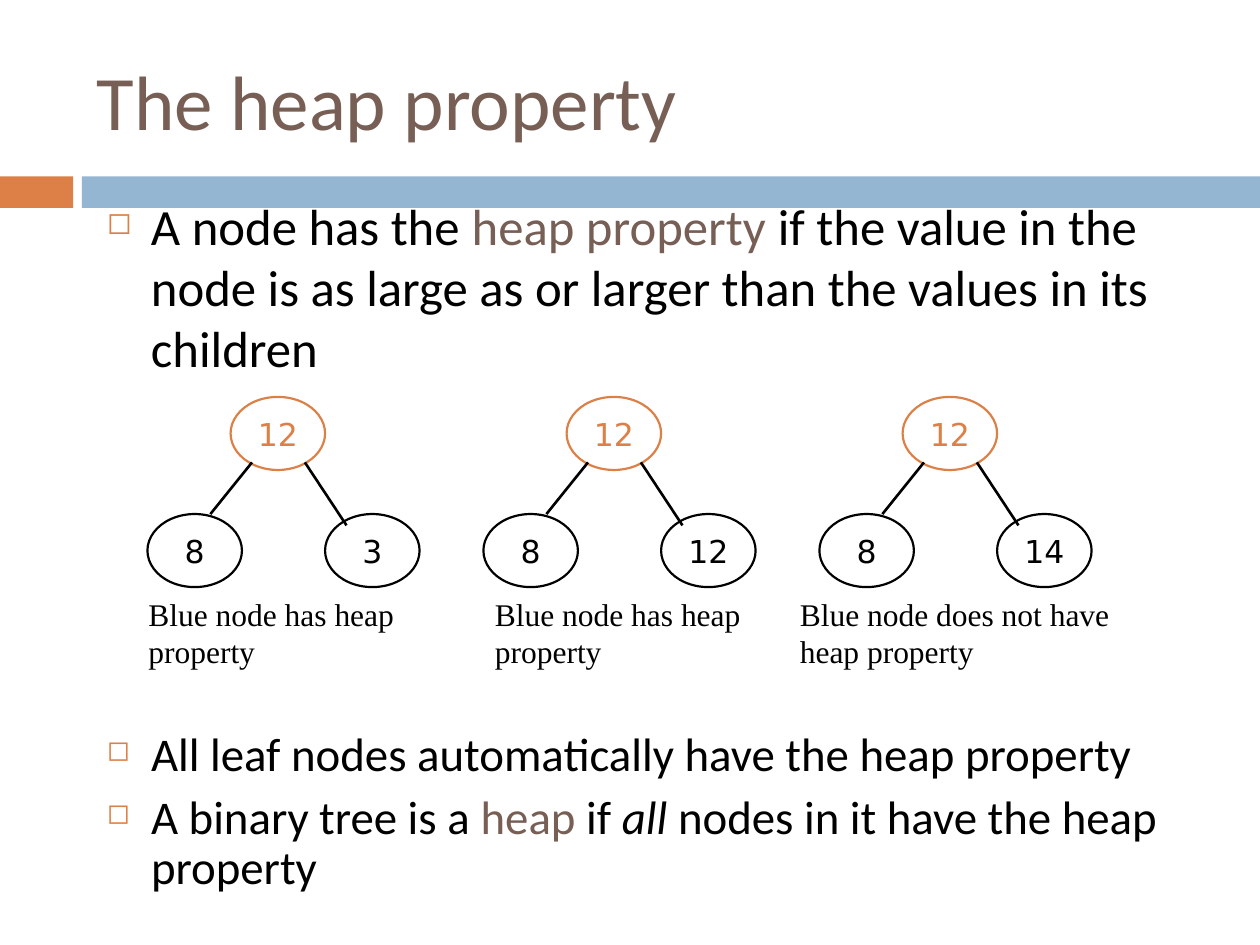
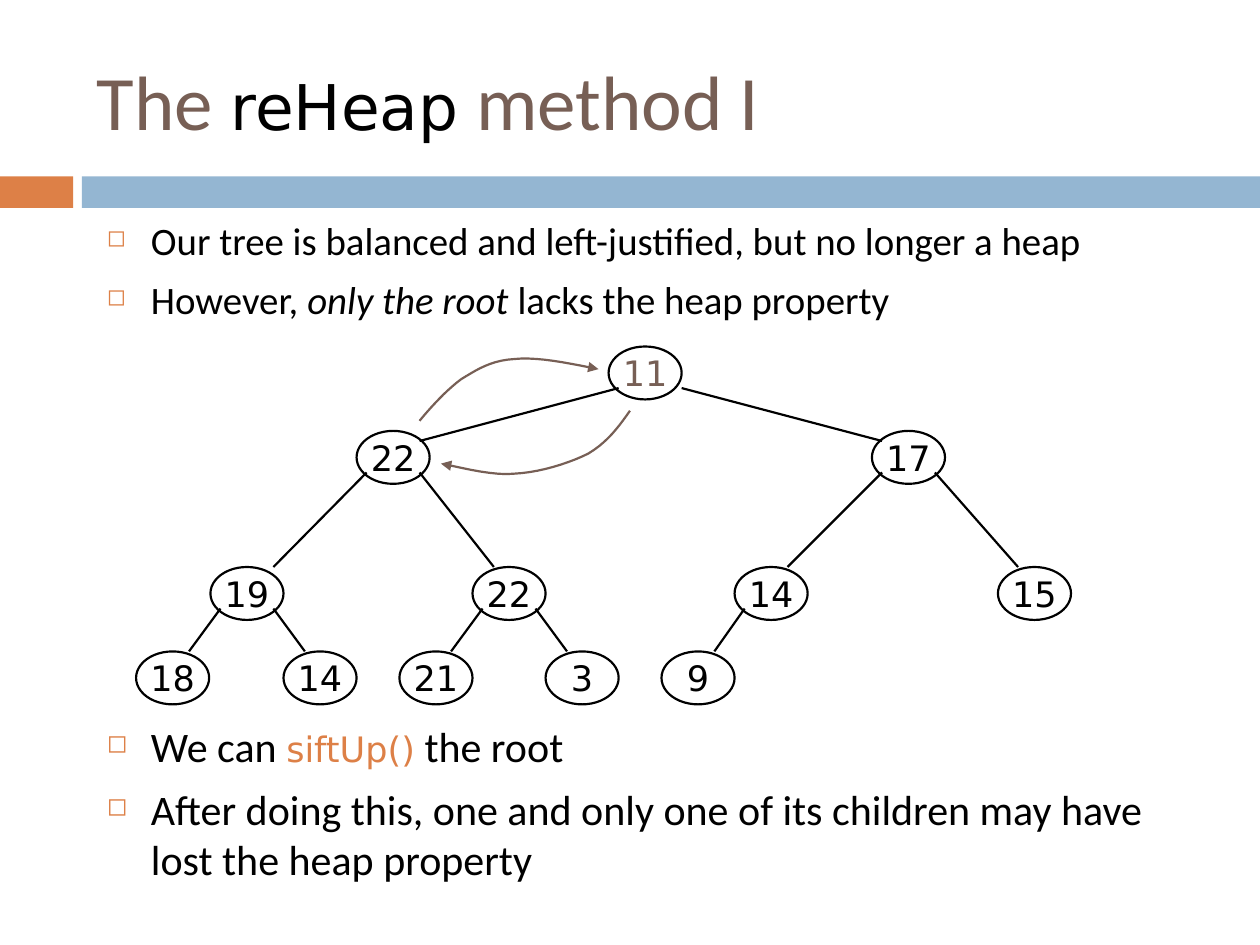
from lxml.etree import SubElement
from pptx import Presentation
from pptx.dml.color import RGBColor
from pptx.enum.shapes import MSO_CONNECTOR, MSO_SHAPE
from pptx.enum.text import MSO_ANCHOR, PP_ALIGN
from pptx.oxml.ns import qn
from pptx.util import Inches, Pt

BLACK, BROWN, RUST, BLUE = "000000", "775F55", "DD8047", "94B6D2"
SANS, MONO, SERIF = "Calibri", "DejaVu Sans", "Times New Roman"


def hue(code):
    return RGBColor.from_string(code)


def write(frame, paras, size, font=SANS, color=BLACK, bullet=False, lead=1.0):
    """Fill a frame; a run is text plus any changes to the given style."""
    for i, runs in enumerate(paras):
        para = frame.paragraphs[0] if i == 0 else frame.add_paragraph()
        if bullet:
            props = para._p.get_or_add_pPr()
            props.set("marL", str(Inches(0.35)))
            props.set("indent", str(Inches(-0.35)))
            tint = SubElement(props, qn("a:buClr"))
            SubElement(tint, qn("a:srgbClr"), val=RUST)
            SubElement(props, qn("a:buSzPct"), val="60000")
            SubElement(props, qn("a:buChar"), char="◻")
        para.line_spacing = lead
        if i:
            para.space_before = Pt(7)
        for text, change in runs:
            run = para.add_run()
            run.text = text
            run.font.size = Pt(change.get("size", size))
            run.font.name = change.get("font", font)
            run.font.color.rgb = hue(change.get("color", color))
            run.font.italic = change.get("italic", False)


deck = Presentation()
deck.slide_width, deck.slide_height = Inches(10), Inches(7.5)

# Titles and bands
titles = [
    [("The heap property", {})],
    [("The ", {}), ("reHeap", {"size": 36, "font": MONO, "color": BLACK}),
     (" method I", {})],
]
slides = []
for title in titles:
    slide = deck.slides.add_slide(deck.slide_layouts[6])
    slides.append(slide)
    for left, width, color in [(0, 0.58, RUST), (0.65, 9.35, BLUE)]:
        band = slide.shapes.add_shape(
            MSO_SHAPE.RECTANGLE, Inches(left), Inches(1.4), Inches(width), Inches(0.25))
        band.shadow.inherit = False
        band.fill.solid()
        band.fill.fore_color.rgb = hue(color)
        band.line.fill.background()
    frame = slide.shapes.add_textbox(
        Inches(0.67), Inches(0.25), Inches(8.92), Inches(1.08)).text_frame
    frame.word_wrap = True
    frame.vertical_anchor = MSO_ANCHOR.MIDDLE
    write(frame, [title], 44, color=BROWN)
first, second = slides

# Bullet text: slide, top, width, height, size, line spacing, paragraphs
bodies = [
    (first, 1.5, 8.5, 1.58, 29, 1.0, [
        [("A node has the ", {}), ("heap property", {"color": BROWN}),
         (" if the value in the node is as large as or larger than "
          "the values in its children", {})]]),
    (first, 5.75, 8.75, 1.5, 26.8, 0.9, [
        [("All leaf nodes automatically have the heap property", {})],
        [("A binary tree is a ", {}), ("heap", {"color": BROWN}), (" if ", {}),
         ("all", {"italic": True}), (" nodes in it have the heap property", {})]]),
    (second, 1.67, 8.5, 1.08, 22.2, 1.0, [
        [("Our tree is balanced and left-justified, but no longer a heap", {})],
        [("However, ", {}), ("only the root", {"italic": True}),
         (" lacks the heap property", {})]]),
    (second, 5.67, 8.5, 1.58, 24, 1.0, [
        [("We can ", {}), ("siftUp()", {"size": 20, "font": MONO, "color": RUST}),
         (" the root", {})],
        [("After doing this, one and only one of its children may have "
          "lost the heap property", {})]]),
]
for slide, top, width, height, size, lead, paras in bodies:
    frame = slide.shapes.add_textbox(
        Inches(0.75), Inches(top), Inches(width), Inches(height)).text_frame
    frame.word_wrap = True
    write(frame, paras, size, bullet=True, lead=lead)

ovals = []  # slide, left, top, width, height, value, size, text colour, line colour
links = []  # slide, from x, from y, to x, to y, weight

# Three small trees: right child, caption, caption left, caption width
trios = [
    ("3", "Blue node has heap property", 1.08, 2.17),
    ("12", "Blue node has heap property", 3.83, 2.17),
    ("14", "Blue node does not have heap property", 6.25, 2.83),
]
for i, (right, note, left, width) in enumerate(trios):
    x = 1.17 + i * 8 / 3
    for dx, top, value, color in [
            (0.66, 3.15, "12", RUST), (0, 4.08, "8", BLACK), (1.41, 4.08, right, BLACK)]:
        ovals.append((first, x + dx, top, 0.75, 0.58, value, 18, color, color))
    links.append((first, x + 0.83, 3.67, x + 0.5, 4.08, 1.5))
    links.append((first, x + 1.25, 3.67, x + 1.58, 4.17, 1.5))
    frame = first.shapes.add_textbox(
        Inches(left), Inches(4.67), Inches(width), Inches(0.9)).text_frame
    frame.word_wrap = True
    write(frame, [[(note, {})]], 18, SERIF)

# Large tree in heap order: value, left, x where the link from its parent ends
nodes = [
    ("11", 4.83, None),
    ("22", 2.83, 3.33), ("17", 6.92, 7),
    ("19", 1.67, 2.17), ("22", 3.75, 3.92), ("14", 5.83, 6.25), ("15", 7.92, 8.08),
    ("18", 1.08, 1.5), ("14", 2.25, 2.42), ("21", 3.17, 3.58), ("3", 4.33, 4.5),
    ("9", 5.25, 5.67),
]
tops = [2.75, 3.42, 4.5, 5.17]
for i, (value, left, end) in enumerate(nodes):
    level = (i + 1).bit_length() - 1
    color = BLACK if i else BROWN
    ovals.append((second, left, tops[level], 0.58, 0.42, value, 20, color, BLACK))
    if i:
        start = nodes[(i - 1) // 2][1] + (0.08 if i % 2 else 0.5)
        if i == 2:
            start += 0.08
        drop = 0.08 if level == 1 else 0
        links.append((second, start, tops[level - 1] + 0.33, end, tops[level] + drop, 1.25))

for slide, left, top, width, height, value, size, color, edge in ovals:
    oval = slide.shapes.add_shape(
        MSO_SHAPE.OVAL, Inches(left), Inches(top), Inches(width), Inches(height))
    oval.shadow.inherit = False
    oval.fill.background()
    oval.line.color.rgb = hue(edge)
    oval.line.width = Pt(1.25)
    frame = oval.text_frame
    frame.word_wrap = False
    frame.vertical_anchor = MSO_ANCHOR.MIDDLE
    write(frame, [[(value, {})]], size, MONO, color)
    frame.paragraphs[0].alignment = PP_ALIGN.CENTER

for slide, x1, y1, x2, y2, weight in links:
    link = slide.shapes.add_connector(
        MSO_CONNECTOR.STRAIGHT, Inches(x1), Inches(y1), Inches(x2), Inches(y2))
    link.line.color.rgb = hue(BLACK)
    link.line.width = Pt(weight)
    SubElement(link.element.spPr, qn("a:effectLst"))

# Swap arrows: each curve is a chain of cubic pieces sharing end points
curves = [
    [(3.33, 3.34), (3.43, 3.22), (3.54, 3.1), (3.66, 3.01), (3.79, 2.93),
     (3.9, 2.86), (4.08, 2.85), (4.26, 2.83), (4.5, 2.88), (4.75, 2.93)],
    [(5, 3.26), (4.91, 3.39), (4.82, 3.51), (4.67, 3.6), (4.51, 3.68),
     (4.28, 3.75), (4.08, 3.76), (3.89, 3.78), (3.58, 3.69), (3.5, 3.68)],
]
steps = 10
for curve in curves:
    points = []
    for k in range(0, len(curve) - 1, 3):
        for n in range(1, steps + 1):
            t = n / steps
            parts = [(1 - t) ** 3, 3 * t * (1 - t) ** 2, 3 * t * t * (1 - t), t ** 3]
            points.append(tuple(
                Inches(sum(p * c[axis] for p, c in zip(parts, curve[k:k + 4])))
                for axis in (0, 1)))
    pen = second.shapes.build_freeform(Inches(curve[0][0]), Inches(curve[0][1]))
    pen.add_line_segments(points, close=False)
    arrow = pen.convert_to_shape()
    arrow.shadow.inherit = False
    arrow.fill.background()
    arrow.line.color.rgb = hue(BROWN)
    arrow.line.width = Pt(1.25)
    SubElement(arrow.element.spPr.find(qn("a:ln")), qn("a:tailEnd"),
               type="triangle", w="med", len="med")

deck.save("out.pptx")
